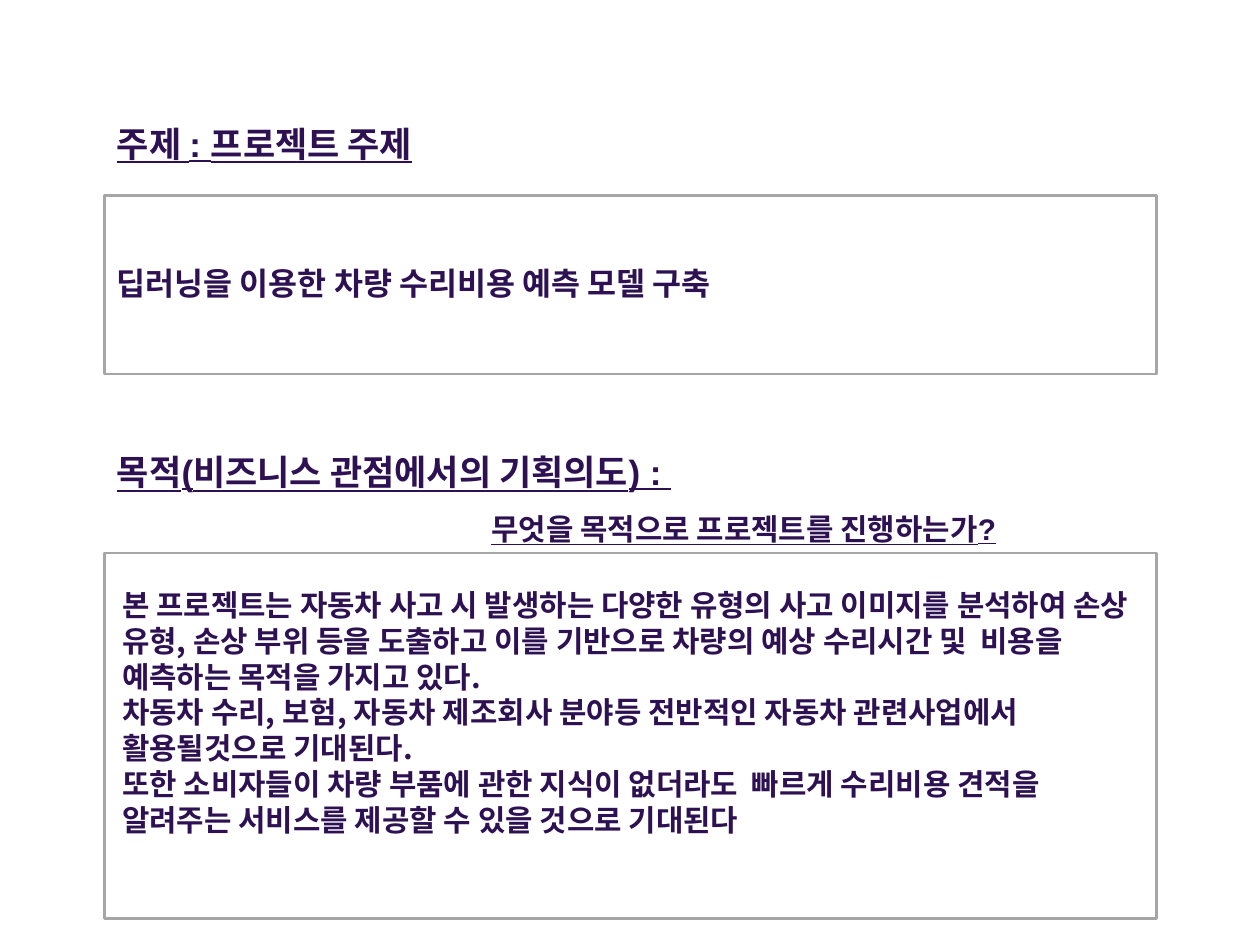
"""Build the project topic and purpose slide."""
from pptx import Presentation
from pptx.dml.color import RGBColor
from pptx.enum.shapes import MSO_SHAPE
from pptx.enum.text import MSO_AUTO_SIZE
from pptx.util import Inches, Pt

RECT = MSO_SHAPE.RECTANGLE
FIT = MSO_AUTO_SIZE.SHAPE_TO_FIT_TEXT
PURPLE = RGBColor(0x2D, 0x11, 0x52)
GRAY = RGBColor(0xA6, 0xA6, 0xA6)
LEFT, WIDTH = 0.83, 8.35

prs = Presentation()
prs.slide_width, prs.slide_height = Inches(10), Inches(7.5)
s = prs.slides.add_slide(prs.slide_layouts[6])


def add_text(left, top, width, height, lines, size, font, underline=None):
    tf = s.shapes.add_textbox(*map(Inches, (left, top, width, height))).text_frame
    tf.word_wrap = True
    tf.auto_size = FIT
    tf.text = "\n".join(lines)
    for p in tf.paragraphs:
        f = p.runs[0].font
        f.size, f.name, f.bold, f.underline = Pt(size), font, True, underline
        f.color.rgb = PURPLE
    return tf


for top, height in ((1.55, 1.42), (4.39, 2.9)):
    sp = s.shapes.add_shape(RECT, *map(Inches, (LEFT, top, WIDTH, height)))
    sp.shadow.inherit = False
    sp.fill.background()
    sp.line.color.rgb = GRAY
    sp.line.width = Pt(1.5)

add_text(LEFT, 0.92, 2.97, 0.44, ["주제 : 프로젝트 주제"], 20, "Arial", True)

tf = add_text(LEFT, 3.36, WIDTH, 1.04, [
    "목적(비즈니스 관점에서의 기획의도) : ",
    "무엇을 목적으로 프로젝트를 진행하는가?",
], 20, "Arial", True)
for p in tf.paragraphs:
    p.line_spacing = 1.5
question = tf.paragraphs[1]
question.runs[0].font.size = Pt(17)
question._p.get_or_add_pPr().set("marL", str(Inches(2.97)))

add_text(LEFT, 2.05, 8.43, 0.4,
         ["딥러닝을 이용한 차량 수리비용 예측 모델 구축"], 18, "Montserrat")

add_text(0.87, 4.61, WIDTH, 2.1, [
    "본 프로젝트는 자동차 사고 시 발생하는 다양한 유형의 사고 이미지를 분석하여 손상 유형, "
    "손상 부위 등을 도출하고 이를 기반으로 차량의 예상 수리시간 및  비용을 예측하는 목적을 가지고 있다. ",
    "차동차 수리, 보험, 자동차 제조회사 분야등 전반적인 자동차 관련사업에서 활용될것으로 기대된다.",
    "또한 소비자들이 차량 부품에 관한 지식이 없더라도  빠르게 수리비용 견적을 알려주는 서비스를 제공할 수 있을 것으로 기대된다",
], 17, "Noto Sans CJK KR")

prs.save("out.pptx")
